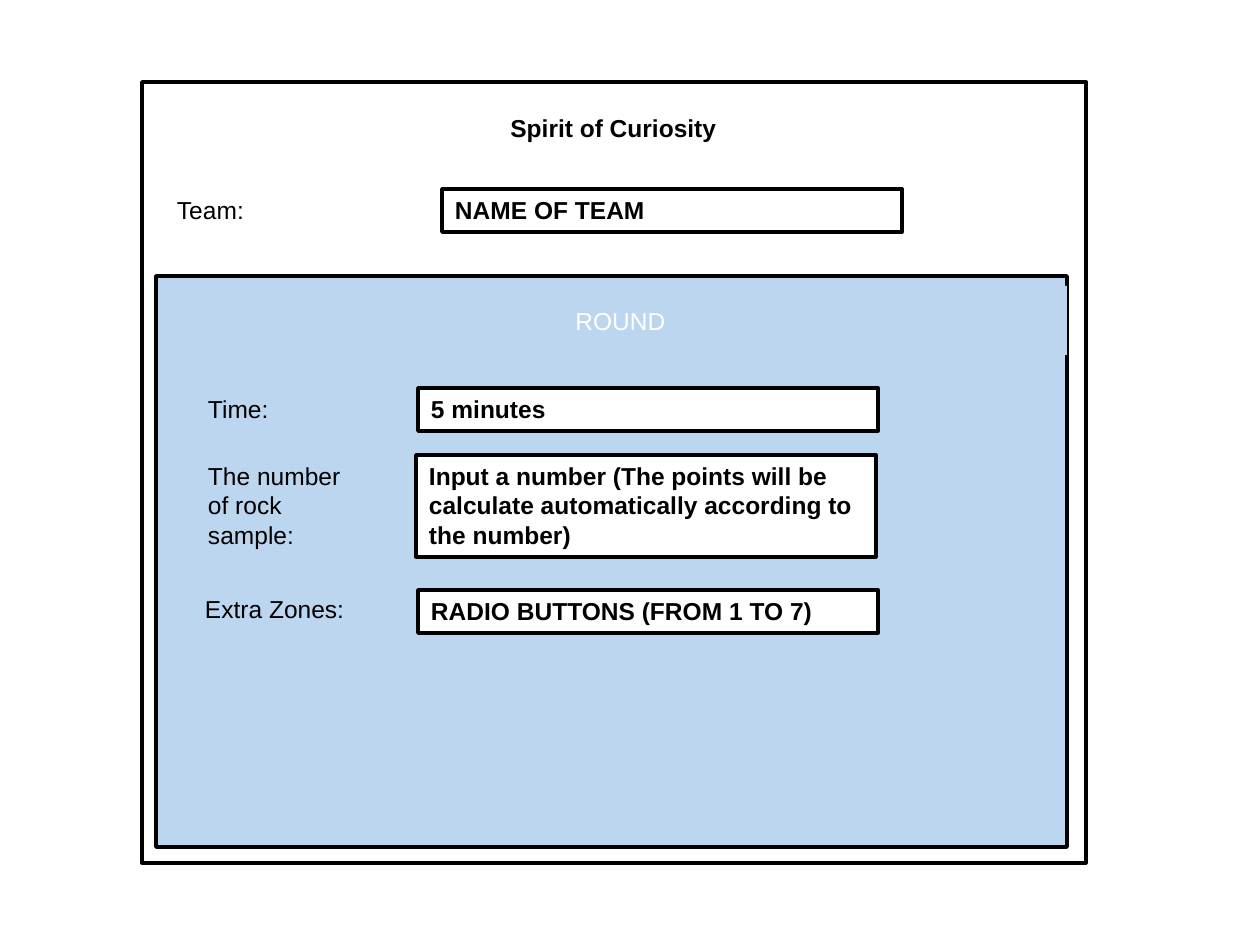
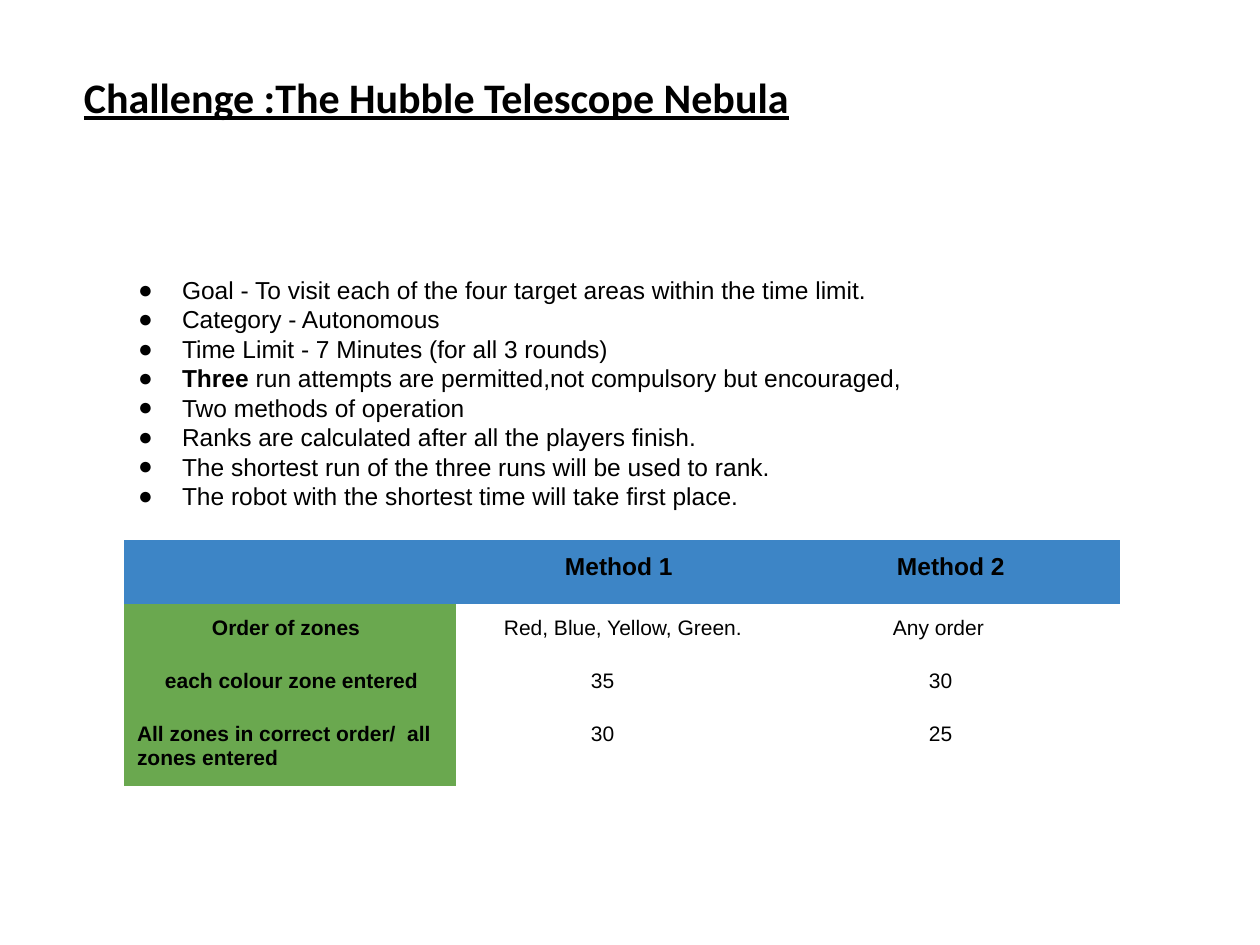
"""Builds a two-slide deck: a scoring form and a challenge description."""
from lxml import etree
from pptx import Presentation
from pptx.dml.color import RGBColor
from pptx.enum.shapes import MSO_SHAPE
from pptx.enum.text import MSO_ANCHOR, PP_ALIGN
from pptx.oxml.ns import qn
from pptx.util import Emu, Pt

RECTANGLE = MSO_SHAPE.RECTANGLE
TOP, MIDDLE, BOTTOM = MSO_ANCHOR.TOP, MSO_ANCHOR.MIDDLE, MSO_ANCHOR.BOTTOM
LEFT, CENTER = PP_ALIGN.LEFT, PP_ALIGN.CENTER
BLACK, WHITE, PALE_BLUE = "000000", "FFFFFF", "BBD6EE"
BLUE, GREEN = "3D85C6", "6AA84F"
BODY_FONT, TITLE_FONT = "Arial", "Calibri"
PLAIN_TABLE = "{2D5ABB26-0587-4C30-8999-92F81FD0307C}"
WIDE_INSET, NARROW_INSET = 13, 6
FIELD_WIDTH, LABEL_WIDTH, LINE_HEIGHT = 460, 183, 43


def px(length):
    return Emu(round(length * 914400 / 126))


def color(value):
    return RGBColor.from_string(value)


def write(frame, paragraphs, size=14, font=BODY_FONT, ink=BLACK, bold=False, underline=None,
          align=LEFT, anchor=TOP, inset=NARROW_INSET, spacing=None, bullet=None):
    """Fills a frame; a paragraph is a string or a list of (text, bold) spans."""
    frame.word_wrap = True
    frame.vertical_anchor = anchor
    frame.margin_left = frame.margin_right = px(WIDE_INSET)
    frame.margin_top = frame.margin_bottom = px(inset)
    for index, content in enumerate(paragraphs):
        para = frame.add_paragraph() if index else frame.paragraphs[0]
        para.alignment = align
        para.line_spacing = spacing
        if bullet:
            add_bullet(para, bullet)
        spans = [(content, bold)] if isinstance(content, str) else content
        for text, heavy in spans:
            span = para.add_run()
            span.text = text
            span.font.size, span.font.name = Pt(size), font
            span.font.bold, span.font.underline = heavy, underline
            span.font.color.rgb = color(ink)


def add_bullet(para, character):
    """Gives a paragraph a hanging bullet."""
    properties = para._p.get_or_add_pPr()
    properties.set("marL", str(px(63)))
    properties.set("indent", str(px(-44)))
    etree.SubElement(properties, qn("a:buFont")).set("typeface", BODY_FONT)
    etree.SubElement(properties, qn("a:buChar")).set("char", character)


class Page:
    """Holds the deck and the current slide, and draws the elements on it."""

    def __init__(self):
        self.deck = Presentation()
        self.deck.slide_width, self.deck.slide_height = px(1260), px(945)
        self.slide = None

    def start(self):
        self.slide = self.deck.slides.add_slide(self.deck.slide_layouts[6])

    def box(self, left, top, width, height, fill=None, line=None):
        shape = self.slide.shapes.add_shape(RECTANGLE, px(left), px(top), px(width), px(height))
        shape.shadow.inherit = False
        if fill:
            shape.fill.solid()
            shape.fill.fore_color.rgb = color(fill)
        else:
            shape.fill.background()
        if line:
            shape.line.color.rgb = color(line)
            shape.line.width = Pt(2)
        else:
            shape.line.fill.background()
        return shape

    def text(self, left, top, width, height, paragraphs, **style):
        box = self.slide.shapes.add_textbox(px(left), px(top), px(width), px(height))
        write(box.text_frame, paragraphs, **style)

    def label(self, left, top, text, height=LINE_HEIGHT):
        self.text(left, top, LABEL_WIDTH, height, [text])

    def field(self, left, top, text, height=LINE_HEIGHT):
        shape = self.box(left, top, FIELD_WIDTH, height, WHITE, BLACK)
        write(shape.text_frame, [text], bold=True)

    def table(self, left, top, column_width, row_heights, rows):
        """Draws rows of (text, indent) cells with a blue header and a green first column."""
        columns = len(rows[0])
        frame = self.slide.shapes.add_table(len(rows), columns, px(left), px(top),
                                            px(column_width * columns), px(sum(row_heights)))
        next(frame.element.iter(qn("a:tableStyleId"))).text = PLAIN_TABLE
        table = frame.table
        table.first_row = table.horz_banding = False
        for column in table.columns:
            column.width = px(column_width)
        for row_index, cells in enumerate(rows):
            header = row_index == 0
            table.rows[row_index].height = px(row_heights[row_index])
            for column_index, (text, indent) in enumerate(cells):
                cell = table.cell(row_index, column_index)
                if header or column_index == 0:
                    cell.fill.solid()
                    cell.fill.fore_color.rgb = color(BLUE if header else GREEN)
                else:
                    cell.fill.background()
                write(cell.text_frame, [text], size=14 if header else 12,
                      bold=header or column_index == 0)
                cell.margin_left = px(WIDE_INSET + indent)
                cell.margin_right = cell.margin_top = cell.margin_bottom = px(WIDE_INSET)


def build_form(page):
    page.start()
    page.box(142, 82, 944, 781, line=BLACK)
    page.text(286, 107, 655, 50, ["Spirit of Curiosity"], bold=True, align=CENTER)
    page.label(164, 189, "Team:")
    page.field(442, 189, "NAME OF TEAM")
    page.box(156, 276, 911, 571, PALE_BLUE, BLACK)
    banner = page.box(174, 286, 893, 69, PALE_BLUE)
    write(banner.text_frame, ["ROUND"], ink=WHITE, align=CENTER, anchor=MIDDLE)
    page.label(195, 388, "Time:")
    page.field(418, 388, "5 minutes")
    page.label(195, 455, "The number of rock sample:", height=72)
    page.field(416, 455, "Input a number (The points will be calculate automatically "
               "according to the number)", height=102)
    page.label(192, 588, "Extra Zones:")
    page.field(418, 590, "RADIO BUTTONS (FROM 1 TO 7)")


def build_challenge(page):
    page.start()
    page.text(57, 49, 759, 87, ["Challenge :The Hubble Telescope Nebula"], size=24,
              font=TITLE_FONT, bold=True, underline=True, align=CENTER, anchor=BOTTOM,
              inset=WIDE_INSET, spacing=0.9)
    page.text(106, 262, 1076, 537, [
        "Goal - To visit each of the four target areas within the time limit.",
        "Category - Autonomous",
        "Time Limit - 7 Minutes (for all 3 rounds)",
        [("Three", True),
         (" run attempts are permitted,not compulsory but encouraged,", False)],
        "Two methods of operation",
        "Ranks are calculated after all the players finish.",
        "The shortest run of the three runs will be used to rank.",
        "The robot with the shortest time will take first place.",
    ], inset=WIDE_INSET, bullet="●")
    page.table(124, 540, 332, [53, 53, 53, 72], [
        [("", 0), ("Method 1", 96), ("Method 2", 96)],
        [("Order of zones", 75), ("Red, Blue, Yellow, Green.", 35), ("Any order", 92)],
        [("each colour zone entered", 28), ("35", 122), ("30", 128)],
        [("All zones in correct order/  all zones entered", 0), ("30", 122), ("25", 128)],
    ])


page = Page()
build_form(page)
build_challenge(page)
page.deck.save("out.pptx")
